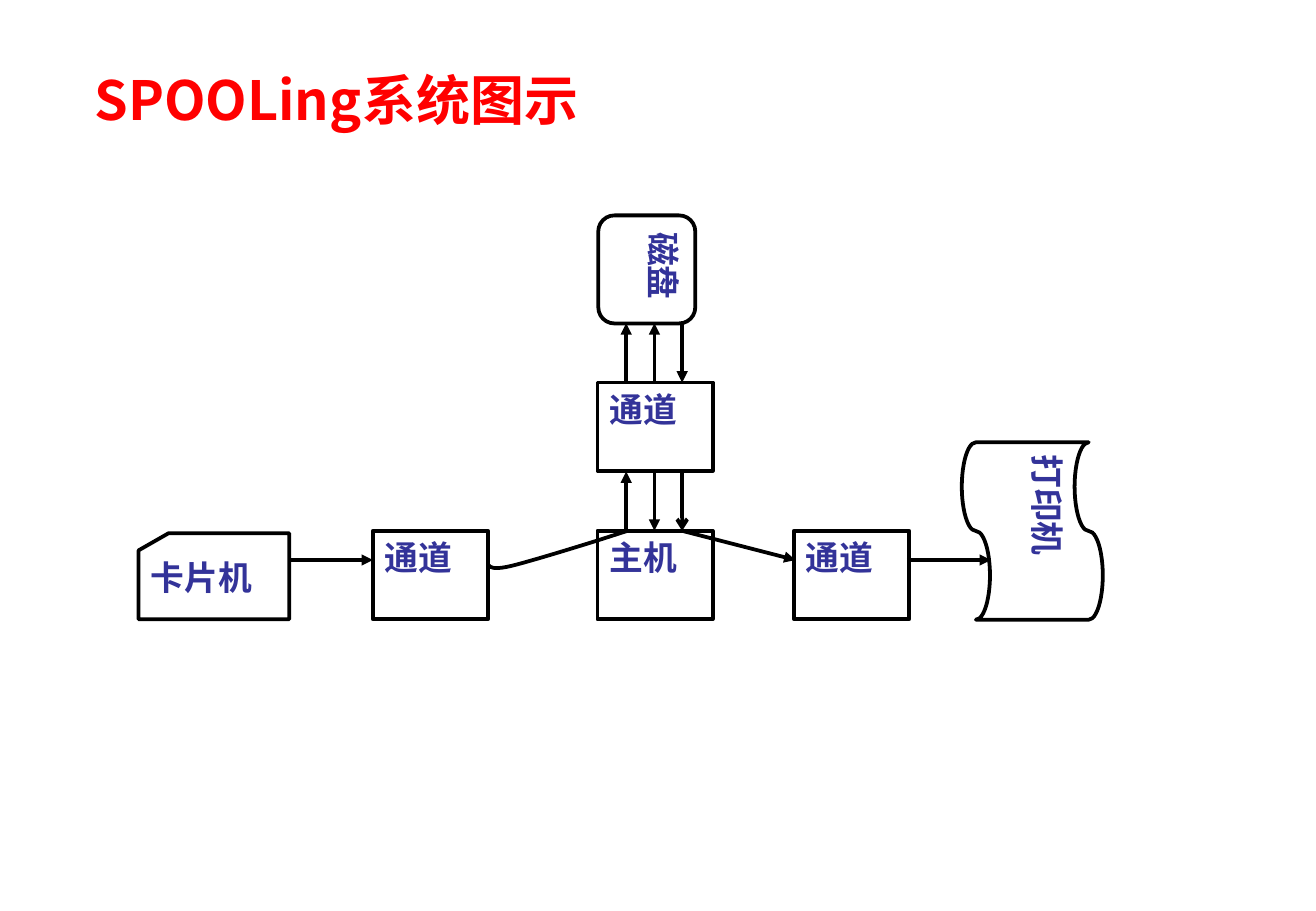
from lxml.etree import SubElement
from pptx import Presentation
from pptx.dml.color import RGBColor
from pptx.enum.shapes import MSO_CONNECTOR, MSO_SHAPE
from pptx.enum.text import MSO_ANCHOR, PP_ALIGN
from pptx.oxml.ns import qn
from pptx.util import Cm, Pt

RED = RGBColor(0xFF, 0x00, 0x00)
NAVY = RGBColor(0x33, 0x33, 0x99)
BLACK = RGBColor(0x00, 0x00, 0x00)
WHITE = RGBColor(0xFF, 0xFF, 0xFF)

NODES = [
    ("磁盘", MSO_SHAPE.FLOWCHART_ALTERNATE_PROCESS, 9.5, 0, 2.26, 2.03, 90),
    ("通道", MSO_SHAPE.RECTANGLE, 9.6, 3.38, 2.41, 1.85, 0),
    ("主机", MSO_SHAPE.RECTANGLE, 9.6, 6.48, 2.41, 1.85, 0),
    ("通道", MSO_SHAPE.RECTANGLE, 4.9, 6.48, 2.41, 1.85, 0),
    ("通道", MSO_SHAPE.RECTANGLE, 13.71, 6.48, 2.41, 1.85, 0),
    ("卡片机", MSO_SHAPE.FLOWCHART_CARD, 0, 6.53, 3.15, 1.8, 0),
    ("打印机", MSO_SHAPE.FLOWCHART_PUNCHED_TAPE, 16.84, 5.01, 3.71, 2.95, 90),
]
ARROWS = [
    (10.2, 3.38, 10.2, 2.14, "triangle"),
    (10.79, 3.38, 10.79, 2.14, "triangle"),
    (11.37, 2.14, 11.37, 3.38, "triangle"),
    (10.2, 6.48, 10.2, 5.24, "triangle"),
    (10.79, 5.24, 10.79, 6.48, "triangle"),
    (11.37, 5.24, 11.37, 6.48, "arrow"),
    (11.37, 6.48, 13.74, 7.09, "triangle"),
    (3.15, 7.09, 4.9, 7.09, "triangle"),
    (16.07, 7.09, 17.83, 7.09, "triangle"),
]
CURVE = [
    ((10.23, 6.48), (9.32, 6.78), (8.38, 7.06), (7.9, 7.19)),
    ((7.9, 7.19), (7.41, 7.32), (7.36, 7.24), (7.31, 7.19)),
]
STEPS = 12


def style(para, size, face, color):
    """Format the runs of a paragraph."""
    for run in para.runs:
        run.font.size = Pt(size)
        run.font.name = face
        run.font.bold = True
        run.font.color.rgb = color


def ink(shape):
    """Give a shape the common black outline."""
    shape.line.color.rgb = BLACK
    shape.line.width = Pt(2.25)


def node(slide, left, top, text, kind, x, y, wide, high, turn):
    """Draw one labelled device."""
    shape = slide.shapes.add_shape(kind, Cm(left + x), Cm(top + y), Cm(wide), Cm(high))
    shape.shadow.inherit = False
    shape.rotation = turn
    shape.fill.solid()
    shape.fill.fore_color.rgb = WHITE
    ink(shape)
    frame = shape.text_frame
    frame.text = text
    frame.word_wrap = True
    frame.vertical_anchor = MSO_ANCHOR.TOP
    para = frame.paragraphs[0]
    para.alignment = PP_ALIGN.JUSTIFY
    style(para, 20, "Times New Roman", NAVY)


def arrow(slide, left, top, x1, y1, x2, y2, tip):
    """Draw one arrow with its tip at the second point."""
    line = slide.shapes.add_connector(
        MSO_CONNECTOR.STRAIGHT, Cm(left + x1), Cm(top + y1), Cm(left + x2), Cm(top + y2))
    ink(line)
    props = line._element.spPr
    SubElement(props.find(qn("a:ln")), qn("a:tailEnd"), type=tip)
    SubElement(props, qn("a:effectLst"))


def blend(points, t):
    """Return the point at t on a cubic curve."""
    s = 1 - t
    parts = (s ** 3, 3 * s * s * t, 3 * s * t * t, t ** 3)
    return [sum(w * p[axis] for w, p in zip(parts, points)) for axis in (0, 1)]


def link(slide, left, top):
    """Draw the curved link from the host to the left channel."""
    spots = [blend(CURVE[0], 0)]
    spots += [blend(arc, i / STEPS) for arc in CURVE for i in range(1, STEPS + 1)]
    spots = [(Cm(left + x), Cm(top + y)) for x, y in spots]
    pen = slide.shapes.build_freeform(*spots[0], scale=1.0)
    pen.add_line_segments(spots[1:], close=False)
    shape = pen.convert_to_shape()
    shape.shadow.inherit = False
    shape.fill.background()
    ink(shape)


def title(slide, left, top, wide, high):
    """Write the slide title."""
    frame = slide.shapes.add_textbox(Cm(left), Cm(top), Cm(wide), Cm(high)).text_frame
    frame.word_wrap = True
    frame.text = "SPOOLing系统图示"
    style(frame.paragraphs[0], 32, "Noto Sans CJK SC", RED)


def chart(slide, left, top):
    """Draw the devices and the flow between them."""
    for item in NODES:
        node(slide, left, top, *item)
    link(slide, left, top)
    for item in ARROWS:
        arrow(slide, left, top, *item)


def main():
    """Build and save the slide."""
    deck = Presentation()
    deck.slide_width, deck.slide_height = Cm(27.53), Cm(19.05)
    slide = deck.slides.add_slide(deck.slide_layouts[6])
    title(slide, 1.73, 1.27, 10.7, 1.63)
    chart(slide, 2.9, 4.62)
    deck.save("out.pptx")


if __name__ == "__main__":
    main()
